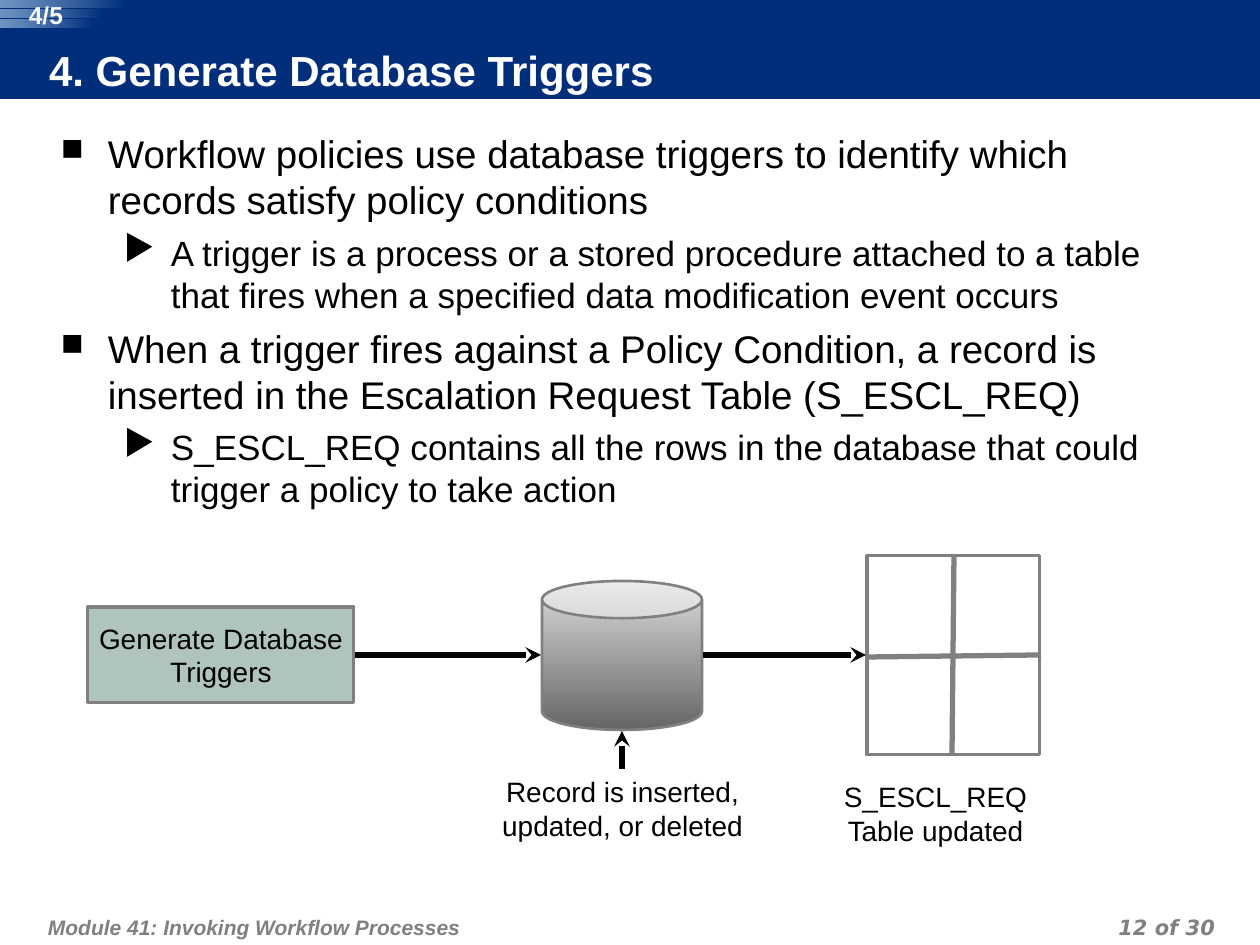
from lxml import etree
from pptx import Presentation
from pptx.dml.color import RGBColor
from pptx.enum.shapes import MSO_CONNECTOR, MSO_SHAPE
from pptx.enum.text import MSO_ANCHOR, MSO_AUTO_SIZE, PP_ALIGN
from pptx.oxml.ns import qn
from pptx.util import Emu, Pt

PX_PER_INCH = 126
TITLE_ONLY = 5
RECT, CAN = MSO_SHAPE.RECTANGLE, MSO_SHAPE.CAN
STRAIGHT = MSO_CONNECTOR.STRAIGHT
LEFT, CENTER, RIGHT = PP_ALIGN.LEFT, PP_ALIGN.CENTER, PP_ALIGN.RIGHT
TOP, MIDDLE = MSO_ANCHOR.TOP, MSO_ANCHOR.MIDDLE
NO_AUTOFIT = MSO_AUTO_SIZE.NONE

COLORS = {
    "navy": "002E7A", "sky": "90B5DA", "sage": "AEC4BD", "gray": "808080",
    "silver": "DDDDDD", "iron": "656565", "black": "000000",
    "white": "FFFFFF", "pale": "F8F8F8",
}
LABEL_INSETS = (13, 6, 13, 6)

# Per level: bullet, bullet size %, left margin px, text size, space before
LEVELS = [("■", 80, 47, 22, 5.5), ("▶", 100, 110, 20, 5)]
HANGING = 47
POINTS = [
    (0, "Workflow policies use database triggers to identify which "
        "records satisfy policy conditions"),
    (1, "A trigger is a process or a stored procedure attached to a table "
        "that fires when a specified data modification event occurs"),
    (0, "When a trigger fires against a Policy Condition, a record is "
        "inserted in the Escalation Request Table (S_ESCL_REQ)"),
    (1, "S_ESCL_REQ contains all the rows in the database that could "
        "trigger a policy to take action"),
]


def px(length):
    return Emu(round(length * 914400 / PX_PER_INCH))


def rgb(name):
    return RGBColor.from_string(COLORS[name])


def add_child(parent, tag, **attributes):
    return etree.SubElement(parent, qn(tag), attributes)


class SlideBuilder:
    def __init__(self, page, font="Arial"):
        self.page = page
        self.font = font

    def style(self, para, size, color="black", bold=False, italic=False,
              font=None, align=LEFT):
        para.alignment = align
        para.font.size = Pt(size)
        para.font.name = font or self.font
        para.font.bold = bold
        para.font.italic = italic
        para.font.color.rgb = rgb(color)

    def frame(self, shape, insets, anchor=TOP, wrap=True):
        frame = shape.text_frame
        frame.auto_size = NO_AUTOFIT
        frame.word_wrap = wrap
        frame.vertical_anchor = anchor
        (frame.margin_left, frame.margin_top,
         frame.margin_right, frame.margin_bottom) = map(px, insets)
        return frame

    def fill_lines(self, frame, lines, size, **style):
        for index, line in enumerate(lines):
            para = frame.paragraphs[0] if index == 0 else frame.add_paragraph()
            para.text = line
            self.style(para, size, **style)

    def title(self, place, text):
        title = self.page.shapes.title
        title.left, title.top, title.width, title.height = map(px, place)
        title.fill.solid()
        title.fill.fore_color.rgb = rgb("navy")
        frame = self.frame(title, (0, 0, 6, 6), MIDDLE)
        self.fill_lines(frame, [text], 24, color="white", bold=True)
        # Bring the title in front of the header band
        title.element.getparent().append(title.element)

    def text(self, place, lines, size, insets=LABEL_INSETS, **style):
        box = self.page.shapes.add_textbox(*map(px, place))
        self.fill_lines(self.frame(box, insets), lines, size, **style)

    def bullets(self, place, points):
        box = self.page.shapes.add_textbox(*map(px, place))
        frame = self.frame(box, (13, 13, 13, 6))
        for index, (level, text) in enumerate(points):
            bullet, percent, margin, size, space = LEVELS[level]
            para = frame.paragraphs[0] if index == 0 else frame.add_paragraph()
            para.text = text
            para.level = level
            if index:
                para.space_before = Pt(space)
            properties = para._p.get_or_add_pPr()
            properties.set("marL", str(px(margin)))
            properties.set("indent", str(-px(HANGING)))
            color = add_child(properties, "a:buClr")
            add_child(color, "a:srgbClr", val=COLORS["black"])
            add_child(properties, "a:buSzPct", val=str(percent * 1000))
            add_child(properties, "a:buChar", char=bullet)
            self.style(para, size)

    def shape(self, kind, place, fill=None, line=None, width=1.75):
        shape = self.page.shapes.add_shape(kind, *map(px, place))
        shape.shadow.inherit = False
        if fill:
            shape.fill.solid()
            shape.fill.fore_color.rgb = rgb(fill)
        else:
            shape.fill.background()
        if line:
            shape.line.color.rgb = rgb(line)
            shape.line.width = Pt(width)
        else:
            shape.line.fill.background()
        return shape

    def gradient(self, shape, colors, angle, end_opacity=100):
        shape.fill.gradient()
        shape.fill.gradient_angle = angle
        for stop, color in zip(shape.fill.gradient_stops, colors):
            stop.color.rgb = rgb(color)
        if end_opacity < 100:
            end = list(shape.element.spPr.iter(qn("a:srgbClr")))[-1]
            add_child(end, "a:alpha", val=str(end_opacity * 1000))

    def labelled_box(self, place, text, fill, line):
        box = self.shape(RECT, place, fill, line)
        frame = self.frame(box, LABEL_INSETS, MIDDLE, wrap=False)
        self.fill_lines(frame, [text], 16, align=CENTER)

    def line(self, start, end, color="black", arrow=False):
        line = self.page.shapes.add_connector(
            STRAIGHT, *map(px, (*start, *end)))
        line.line.color.rgb = rgb(color)
        line.line.width = Pt(3)
        if arrow:
            add_child(line.line._get_or_add_ln(), "a:tailEnd", type="stealth")
        add_child(line.element.spPr, "a:effectLst")


def main():
    deck = Presentation()
    deck.slide_width, deck.slide_height = px(1260), px(945)
    page = deck.slides.add_slide(deck.slide_layouts[TITLE_ONLY])
    builder = SlideBuilder(page)

    builder.shape(RECT, (0, 0, 1260, 99), "navy")
    builder.title((49, 48, 1155, 50), "4. Generate Database Triggers")
    footer = {"color": "gray", "bold": True, "italic": True}
    builder.text((42, 895, 779, 50), ["Module 41: Invoking Workflow Processes"],
                 12, insets=(6, 20, 6, 6), **footer)
    builder.text((927, 915, 294, 30), ["12 of 30"], 12, insets=(6, 0, 6, 0),
                 font="DejaVu Sans", align=RIGHT, **footer)
    builder.bullets((48, 117, 1172, 420), POINTS)

    for row, width in enumerate((127, 103, 92)):
        stripe = builder.shape(RECT, (0, row * 10, width, 8))
        builder.gradient(stripe, ("navy", "sky"), 180, end_opacity=76)
    builder.text((14, 0, 64, 29), ["4/5"], 14, insets=(0, 0, 0, 0),
                 color="pale", bold=True, align=CENTER)

    builder.labelled_box((88, 607, 266, 96), "Generate Database\vTriggers",
                         "sage", "gray")
    database = builder.shape(CAN, (542, 581, 160, 149), line="gray", width=1.5)
    builder.gradient(database, ("silver", "iron"), 270)
    builder.shape(RECT, (867, 556, 173, 199), line="gray")
    builder.line((954, 556), (952, 754), "gray")
    builder.line((867, 657), (1041, 655), "gray")

    for start, end in (((355, 655), (541, 655)),
                       ((703, 655), (866, 655)),
                       ((622, 769), (622, 731))):
        builder.line(start, end, arrow=True)
    builder.text((482, 769, 281, 81),
                 ["Record is inserted, updated, or deleted"], 16, align=CENTER)
    builder.text((795, 774, 281, 81), ["S_ESCL_REQ", "Table updated"], 16,
                 align=CENTER)

    deck.save("out.pptx")


if __name__ == "__main__":
    main()
